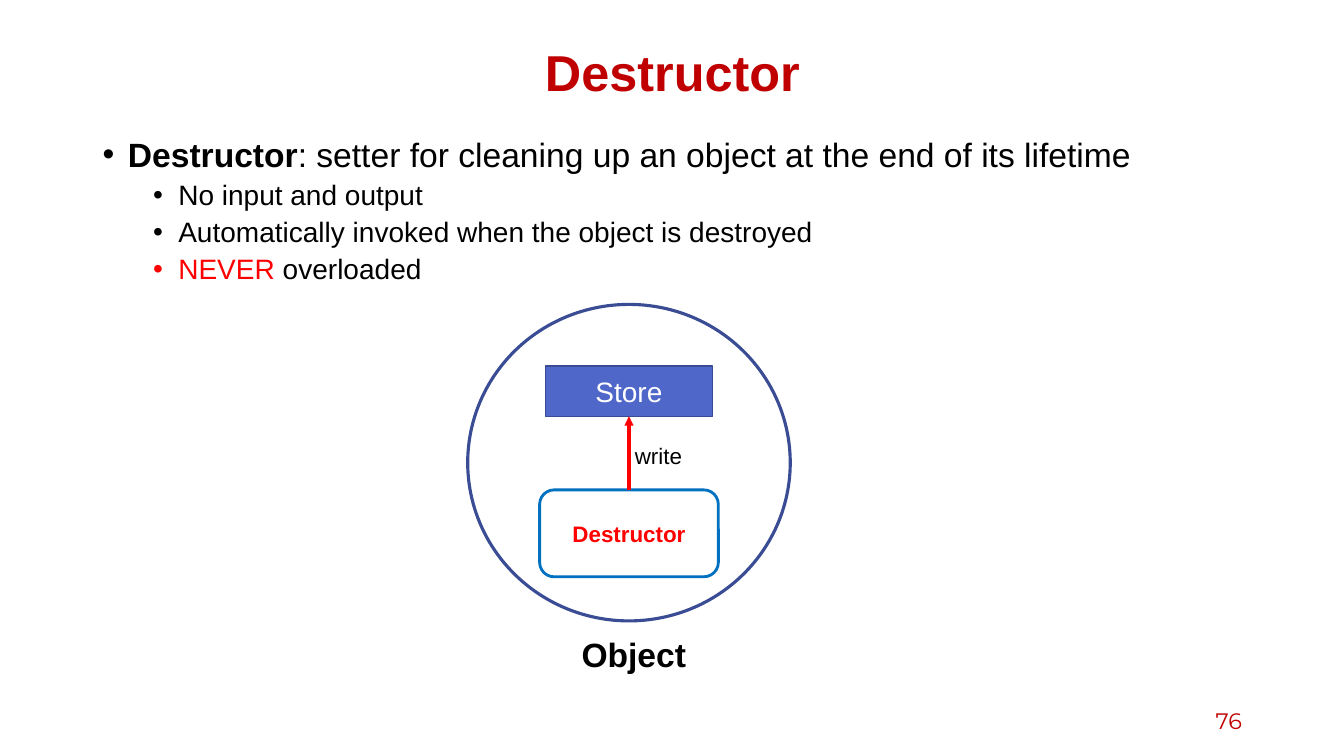
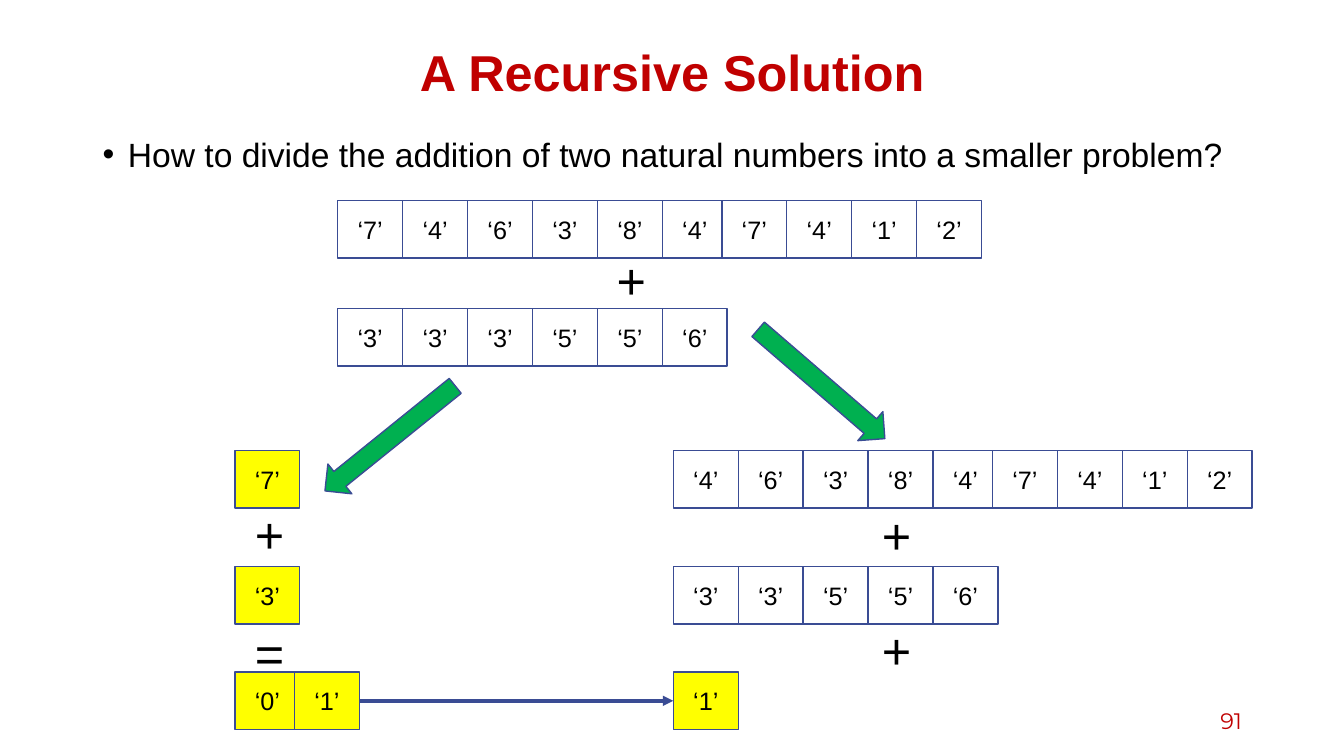
from lxml import etree
from pptx import Presentation
from pptx import util as u
from pptx.dml.color import RGBColor
from pptx.enum import shapes, text
from pptx.oxml.ns import qn

RED = RGBColor(0xC0, 0x00, 0x00)
BRIGHT = RGBColor(0xFF, 0x00, 0x00)
BLACK = RGBColor(0x00, 0x00, 0x00)
WHITE = RGBColor(0xFF, 0xFF, 0xFF)
NAVY = RGBColor(0x3A, 0x4C, 0x94)
INDIGO = RGBColor(0x4E, 0x67, 0xC8)
BLUE = RGBColor(0x00, 0x70, 0xC0)
YELLOW = RGBColor(0xFF, 0xFF, 0x00)
GREEN = RGBColor(0x00, 0xB0, 0x50)

KIND = shapes.MSO_SHAPE
LEFT, CENTER, RIGHT = text.PP_ALIGN.LEFT, text.PP_ALIGN.CENTER, text.PP_ALIGN.RIGHT
TOP, MIDDLE = text.MSO_ANCHOR.TOP, text.MSO_ANCHOR.MIDDLE

prs = Presentation()
prs.slide_width, prs.slide_height = u.Inches(13.33), u.Inches(7.5)
COL, ROW = prs.slide_width / 100, prs.slide_height / 100


def put(s, x, y, w, h, label="", size=18, color=BLACK, bold=False, font="Arial",
        align=CENTER, anchor=MIDDLE, kind=None, fill=None, line=NAVY, width=1):
    box = int(x * COL), int(y * ROW), int(w * COL), int(h * ROW)
    if kind is None:
        sp = s.shapes.add_textbox(*box)
    else:
        sp = s.shapes.add_shape(kind, *box)
        sp.shadow.inherit = False
        sp.line.color.rgb, sp.line.width = line, u.Pt(width)
        if fill is None:
            sp.fill.background()
        else:
            sp.fill.solid()
            sp.fill.fore_color.rgb = fill
    tf = sp.text_frame
    tf.word_wrap, tf.vertical_anchor = True, anchor
    if label:
        p = tf.paragraphs[0]
        p.alignment = align
        r = p.add_run()
        r.text = label
        r.font.name, r.font.size, r.font.bold = font, u.Pt(size), bold
        r.font.color.rgb = color
    return sp


def arrow(s, start, start_side, end, end_side, color, width):
    sp = s.shapes.add_connector(shapes.MSO_CONNECTOR.STRAIGHT, 0, 0, 0, 0)
    sp.begin_connect(start, start_side)
    sp.end_connect(end, end_side)
    sp.line.color.rgb, sp.line.width = color, u.Pt(width)
    etree.SubElement(sp.line._get_or_add_ln(), qn("a:tailEnd"), type="triangle")
    etree.SubElement(sp._element.spPr, qn("a:effectLst"))


PAGES = [
    ("Destructor", "76", [
        (0, [("Destructor", True, BLACK),
             (": setter for cleaning up an object at the end of its lifetime", False, BLACK)]),
        (1, [("No input and output", False, BLACK)]),
        (1, [("Automatically invoked when the object is destroyed", False, BLACK)]),
        (1, [("NEVER", False, BRIGHT), (" overloaded", False, BLACK)]),
    ]),
    ("A Recursive Solution", "91", [
        (0, [("How to divide the addition of two natural numbers into a smaller problem?",
              False, BLACK)]),
    ]),
]
MARGIN, WIDE = 6.9, 86.25

for title, number, bullets in PAGES:
    s = prs.slides.add_slide(prs.slide_layouts[6])
    sp = put(s, MARGIN, 5.33, WIDE, 9.33, title, 36, RED, True)
    sp.text_frame.paragraphs[0].line_spacing = 0.9
    tf = put(s, MARGIN, 17.6, WIDE, 73.5, anchor=TOP).text_frame
    for i, (level, runs) in enumerate(bullets):
        p = tf.add_paragraph() if i else tf.paragraphs[0]
        p.level, p.line_spacing = level, 0.9
        if i:
            p.space_before = u.Pt(5)
        pPr = p._p.get_or_add_pPr()
        pPr.set("marL", str(u.Inches(0.25 + 0.5 * level)))
        pPr.set("indent", str(-u.Inches(0.25)))
        etree.SubElement(pPr, qn("a:buFont"), typeface="Arial")
        etree.SubElement(pPr, qn("a:buChar"), char="•")
        for words, bold, color in runs:
            r = p.add_run()
            r.text = words
            r.font.name, r.font.size, r.font.bold = "Arial", u.Pt(24 - 4 * level), bold
            r.font.color.rgb = color
    put(s, 70.65, 92.67, 22.5, 5.33, number, 16, RED, font="Montserrat", align=RIGHT)

s = prs.slides[0]
AXIS = 46.8
store = put(s, AXIS - 6.2, 48.4, 12.4, 6.67, "Store", 20, WHITE,
            kind=KIND.RECTANGLE, fill=INDIGO)
put(s, AXIS - 12, 40.27, 24, 41.87, kind=KIND.OVAL, width=2.25)
destructor = put(s, AXIS - 6.65, 64.8, 13.3, 11.5, "Destructor", 16, BRIGHT, True,
                 kind=KIND.ROUNDED_RECTANGLE, line=BLUE, width=2)
arrow(s, destructor, 0, store, 2, BRIGHT, 2.25)
put(s, 42.53, 83.2, 9.75, 6.67, "Object", 24, bold=True, align=LEFT, anchor=TOP)
put(s, 46.5, 57.87, 12.2, 4.93, "write", 16, align=LEFT, anchor=TOP)

s = prs.slides[1]
CELL_W, CELL_H = 4.83, 7.6
OVERLAP = 0.4
LEFT_X, TOP_X, RIGHT_X = 17.48, 25.13, 50.1
SPLIT_Y, SECOND_Y, CARRY_Y = 59.6, 74.93, 88.9

NUMBERS = [
    (TOP_X, 26.53, "746384", "7412", WHITE),
    (TOP_X, 40.8, "333556", "", WHITE),
    (RIGHT_X, SPLIT_Y, "46384", "7412", WHITE),
    (RIGHT_X, SECOND_Y, "33556", "", WHITE),
    (LEFT_X, SPLIT_Y, "7", "", YELLOW),
    (LEFT_X, SECOND_Y, "3", "", YELLOW),
    (LEFT_X, CARRY_Y, "0", "1", YELLOW),
    (RIGHT_X, CARRY_Y, "1", "", YELLOW),
]
ends = []
for x, y, head, tail, fill in NUMBERS:
    for i, digit in enumerate(head + tail):
        shift = OVERLAP if i >= len(head) else 0
        sp = put(s, x + i * CELL_W - shift, y, CELL_W, CELL_H, f"‘{digit}’",
                 kind=KIND.RECTANGLE, fill=fill)
    ends.append(sp)

for x, y, sign in [(45.15, 32.27, "+"), (64.88, 66, "+"), (64.88, 81.2, "+"),
                   (18.23, 65.9, "+"), (18.23, 81.6, "=")]:
    put(s, x, y, CELL_W, 9.47, sign, 36, align=LEFT, anchor=TOP)

for x, y, angle in [(27.6, 46.93, 51.1), (59.7, 39.73, 310.8)]:
    sp = put(s, x, y, 2.85, 22.13, kind=KIND.DOWN_ARROW, fill=GREEN)
    sp.rotation = angle

arrow(s, ends[-2], 3, ends[-1], 1, NAVY, 2.5)

prs.save("out.pptx")
